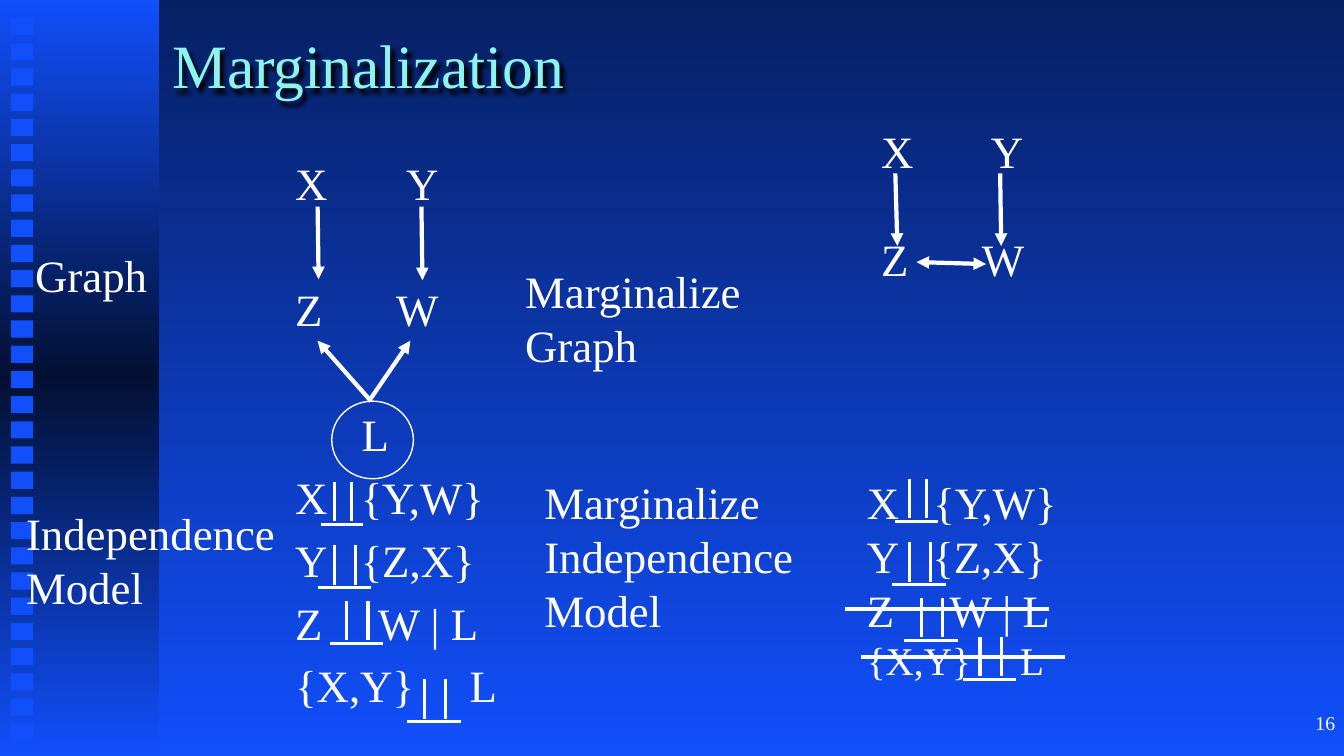
from lxml import etree
from copy import deepcopy
from pptx import Presentation
from pptx.dml.color import RGBColor
from pptx.enum.shapes import MSO_CONNECTOR, MSO_SHAPE
from pptx.enum.text import MSO_ANCHOR, PP_ALIGN
from pptx.oxml.ns import qn
from pptx.util import Pt

PX = 9144  # 100 px to the inch
RECT, OVAL = MSO_SHAPE.RECTANGLE, MSO_SHAPE.OVAL
STRAIGHT = MSO_CONNECTOR.STRAIGHT
LEFT, RIGHT = PP_ALIGN.LEFT, PP_ALIGN.RIGHT
TOP, MIDDLE = MSO_ANCHOR.TOP, MSO_ANCHOR.MIDDLE
rgb = RGBColor.from_string
WHITE, BLUE, NAVY, BLACK, AQUA = "FFFFFF", "114FFB", "072064", "031032", "8CF4EA"

prs = Presentation()
prs.slide_width, prs.slide_height = 1333 * PX, 750 * PX
s = prs.slides.add_slide(prs.slide_layouts[6])


def add_text(box, lines, size=32, color=WHITE, align=LEFT, anchor=TOP):
    """Each line is (text, tab stop in px, space before in pt, optional size)."""
    tb = s.shapes.add_textbox(*(v * PX for v in box))
    tf = tb.text_frame
    tf.word_wrap, tf.vertical_anchor = True, anchor
    for i, (text, tab, before, *own_size) in enumerate(lines):
        pt = own_size[0] if own_size else size
        p = tf.paragraphs[0] if i == 0 else tf.add_paragraph()
        p.alignment, p.line_spacing = align, Pt(pt * 1.2)
        if before:
            p.space_before = Pt(before)
        if tab:
            tabs = etree.SubElement(p._p.get_or_add_pPr(), qn("a:tabLst"))
            etree.SubElement(tabs, qn("a:tab"), pos=str(tab * PX), algn="l")
        r = p.add_run()
        r.text = text
        for name, value in {"name": "Times New Roman", "size": Pt(pt)}.items():
            setattr(r.font, name, value)
        r.font.color.rgb = rgb(color)
    return tb


def add_line(x1, y1, x2, y2, width=2.25, heads=()):
    c = s.shapes.add_connector(STRAIGHT, x1 * PX, y1 * PX, x2 * PX, y2 * PX)
    c.line.width = Pt(width)
    c.line.color.rgb = rgb(WHITE)
    for end in heads:
        etree.SubElement(c.line._get_or_add_ln(), qn(f"a:{end}"), type="triangle")
    etree.SubElement(c._element.spPr, qn("a:effectLst"))


# Background and side bar
bar = s.shapes.add_shape(RECT, 0, 0, 158 * PX, 749 * PX)
bar.shadow.inherit = False
bar.line.fill.background()
back = s.background.fill
for fill in (back, bar.fill):
    fill.gradient()
    fill.gradient_angle = 270
gs_list = bar._element.spPr.find(".//" + qn("a:gsLst"))
gs_list.insert(1, deepcopy(gs_list[0]))
for fill, colors in ((back, (NAVY, BLUE)), (bar.fill, (BLUE, BLACK, BLUE))):
    for i, (stop, color) in enumerate(zip(fill.gradient_stops, colors)):
        stop.color.rgb = rgb(color)
        stop.position = i / (len(colors) - 1)

for i in range(29):
    square = s.shapes.add_shape(RECT, 11 * PX, (18 + 25 * i) * PX, 22 * PX, 17 * PX)
    square.shadow.inherit = False
    square.fill.solid()
    square.fill.fore_color.rgb = rgb(BLUE)
    square.line.fill.background()

# Title with a soft shadow
title = add_text((161, 1, 1125, 125), [("Marginalization", 0, 0)], 44, AQUA, anchor=MIDDLE)
effects = etree.SubElement(title._element.spPr, qn("a:effectLst"))
shadow = etree.SubElement(effects, qn("a:outerShdw"), blurRad="38100", dist="38100", dir="2700000")
etree.SubElement(shadow, qn("a:srgbClr"), val="000000")

# Text
add_text((283, 150, 926, 450), [
    ("X\tY", 110, 0), ("Z\tW", 100, 51.2), ("\tL", 66, 51.2),
    ("X\t{Y,W}", 65, 6.4), ("Y\t{Z,X}", 65, 6.4),
    ("Z\tW | L", 82, 6.4), ("{X,Y}\tL", 173, 6.4)])
add_text((864, 118, 215, 202), [("X\tY", 109, 0), ("Z\tW", 100, 38.4)])
add_text((850, 466, 280, 279), [
    ("X\t{Y,W}", 66, 0), ("Y\t{Z,X}", 65, 0),
    ("Z\tW | L", 82, 0), ("{X,Y}\tL", 152, 0, 28)])
for box, label in (
    ((16, 497, 280, 118), "Independence Model"),
    ((530, 466, 280, 172), "Marginalize Independence Model"),
    ((511, 257, 280, 118), "Marginalize Graph"),
    ((25, 241, 280, 64), "Graph"),
):
    add_text(box, [(label, 0, 0)])
add_text((1056, 700, 278, 50), [("16", 0, 0)], 14, align=RIGHT)

# Graph edges and the latent node
for edge in ((315, 205, 316, 277), (418, 205, 419, 278),
             (368, 398, 315, 338), (368, 395, 407, 338),
             (888, 172, 890, 244), (992, 172, 993, 244)):
    add_line(*edge, 3, ["tailEnd"])
add_line(978, 262, 909, 260, 3, ["headEnd", "tailEnd"])
latent = s.shapes.add_shape(OVAL, 329 * PX, 398 * PX, 81 * PX, 77 * PX)
latent.shadow.inherit = False
latent.fill.background()
latent.line.color.rgb = rgb(WHITE)
latent.line.width = Pt(1)

# Independence signs: a base with two upright bars
BARS = {42: (14, 31), 53: (17, 38)}
for x, y, base in ((318, 520, 42), (315, 583, 53), (327, 638, 53), (404, 716, 53),
                   (888, 517, 42), (885, 580, 53), (897, 635, 53), (955, 674, 53)):
    add_line(x, y, x + base, y)
    for dx in BARS[base]:
        add_line(x + dx, y - 42, x + dx, y - 3)

# Statements struck out by marginalizing
for x, y in ((838, 604), (854, 652)):
    add_line(x, y, x + 202, y, 3.25)

prs.save("out.pptx")
